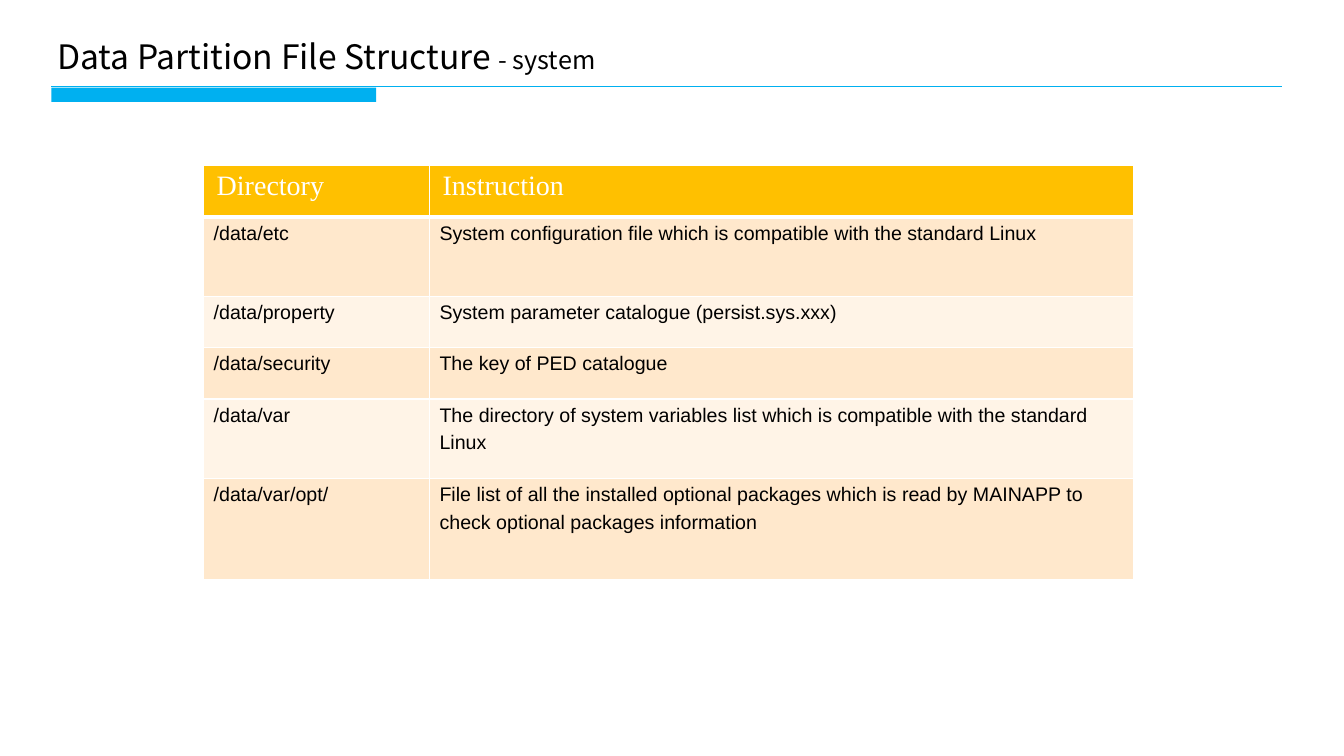
from typing import NamedTuple

from lxml import etree
from pptx import Presentation
from pptx.dml.color import RGBColor
from pptx.enum.shapes import MSO_CONNECTOR, MSO_SHAPE
from pptx.enum.text import MSO_AUTO_SIZE
from pptx.oxml.ns import qn
from pptx.util import Emu, Inches, Pt

RECTANGLE = MSO_SHAPE.RECTANGLE
STRAIGHT = MSO_CONNECTOR.STRAIGHT
GROW = MSO_AUTO_SIZE.SHAPE_TO_FIT_TEXT

BLACK = RGBColor(0x00, 0x00, 0x00)
WHITE = RGBColor(0xFF, 0xFF, 0xFF)
BLUE = RGBColor(0x00, 0xB0, 0xF0)
AMBER = RGBColor(0xFF, 0xC0, 0x00)
BANDS = (RGBColor(0xFF, 0xE8, 0xCC), RGBColor(0xFF, 0xF4, 0xE7))

SLIDE_WIDTH, SLIDE_HEIGHT = Inches(13.33), Inches(7.5)
TITLE_FONT = "Noto Sans CJK SC"


class Entry(NamedTuple):
    directory: str
    instruction: str
    height: float  # percent of the slide's height


class CellStyle(NamedTuple):
    font: str
    size: int
    color: RGBColor
    side_inset: float
    top_inset: float
    line_spacing: float
    space_after: int


HEADER_STYLE = CellStyle("Times New Roman", 20, WHITE, 0.13, 0.05, 1.0, 0)
BODY_STYLE = CellStyle("Arial", 14, BLACK, 0.1, 0, 1.25, 6)

COLUMN_WIDTHS = (16.8, 52.36)  # percent of the slide's width
ENTRIES = (
    Entry("Directory", "Instruction", 6.8),
    Entry("/data/etc",
          "System configuration file which is compatible with the standard Linux", 10.53),
    Entry("/data/property", "System parameter catalogue (persist.sys.xxx)", 6.8),
    Entry("/data/security", "The key of PED catalogue", 6.8),
    Entry("/data/var",
          "The directory of system variables list which is compatible with the standard Linux",
          10.53),
    Entry("/data/var/opt/",
          "File list of all the installed optional packages which is read by MAINAPP "
          "to check optional packages information", 13.33),
)


def across(percent: float) -> Emu:
    return Emu(round(SLIDE_WIDTH * percent / 100))


def down(percent: float) -> Emu:
    return Emu(round(SLIDE_HEIGHT * percent / 100))


def add_text(paragraph, text: str, *, font: str, size: int, color: RGBColor) -> None:
    run = paragraph.add_run()
    run.text = text
    run.font.name = font
    run.font.size = Pt(size)
    run.font.color.rgb = color


def add_title(slide) -> None:
    title = slide.shapes.add_textbox(across(3.53), down(4.13), across(50.64), down(6.67))
    frame = title.text_frame
    frame.word_wrap = True
    frame.auto_size = GROW
    for text, size in (("Data Partition File Structure ", 24), ("- system", 18)):
        add_text(frame.paragraphs[0], text, font=TITLE_FONT, size=size, color=BLACK)


def add_title_rule(slide) -> None:
    """Draw the thin line under the title and the thick bar at its left end."""
    left, top = across(3.83), down(11.47)
    rule = slide.shapes.add_connector(STRAIGHT, left, top, across(95.42), top)
    rule.line.color.rgb = BLUE
    rule.line.width = Pt(1)
    etree.SubElement(rule._element.spPr, qn("a:effectLst"))

    bar = slide.shapes.add_shape(RECTANGLE, left, down(11.6), across(24.16), down(1.87))
    bar.shadow.inherit = False
    bar.fill.solid()
    bar.fill.fore_color.rgb = BLUE
    bar.line.fill.background()


def add_borders(cell, top: int, bottom: int) -> None:
    """Give the cell white borders; this must come before its fill."""
    properties = cell._tc.get_or_add_tcPr()
    for side, points in (("L", 1), ("R", 1), ("T", top), ("B", bottom)):
        border = etree.SubElement(properties, qn(f"a:ln{side}"), w=str(Pt(points)))
        solid = etree.SubElement(border, qn("a:solidFill"))
        etree.SubElement(solid, qn("a:srgbClr"), val=str(WHITE))


def fill_cell(cell, text: str, style: CellStyle, background: RGBColor) -> None:
    cell.margin_left = cell.margin_right = Inches(style.side_inset)
    cell.margin_top = cell.margin_bottom = Inches(style.top_inset)
    cell.fill.solid()
    cell.fill.fore_color.rgb = background
    paragraph = cell.text_frame.paragraphs[0]
    paragraph.line_spacing = style.line_spacing
    paragraph.space_after = Pt(style.space_after)
    add_text(paragraph, text, font=style.font, size=style.size, color=style.color)


def add_directory_table(slide) -> None:
    table = slide.shapes.add_table(
        len(ENTRIES), len(COLUMN_WIDTHS), across(15.15), down(21.87),
        across(sum(COLUMN_WIDTHS)), down(sum(entry.height for entry in ENTRIES)),
    ).table
    table.first_row = table.horz_banding = False
    for column, width in zip(table.columns, COLUMN_WIDTHS):
        column.width = across(width)
    for index, entry in enumerate(ENTRIES):
        table.rows[index].height = down(entry.height)
        is_header = index == 0
        style = HEADER_STYLE if is_header else BODY_STYLE
        background = AMBER if is_header else BANDS[(index - 1) % 2]
        for cell, text in zip(table.rows[index].cells, (entry.directory, entry.instruction)):
            add_borders(cell, top=3 if index == 1 else 1, bottom=3 if is_header else 1)
            fill_cell(cell, text, style, background)


def main() -> None:
    presentation = Presentation()
    presentation.slide_width, presentation.slide_height = SLIDE_WIDTH, SLIDE_HEIGHT
    slide = presentation.slides.add_slide(presentation.slide_layouts[6])
    add_title_rule(slide)
    add_title(slide)
    add_directory_table(slide)
    presentation.save("out.pptx")


if __name__ == "__main__":
    main()
